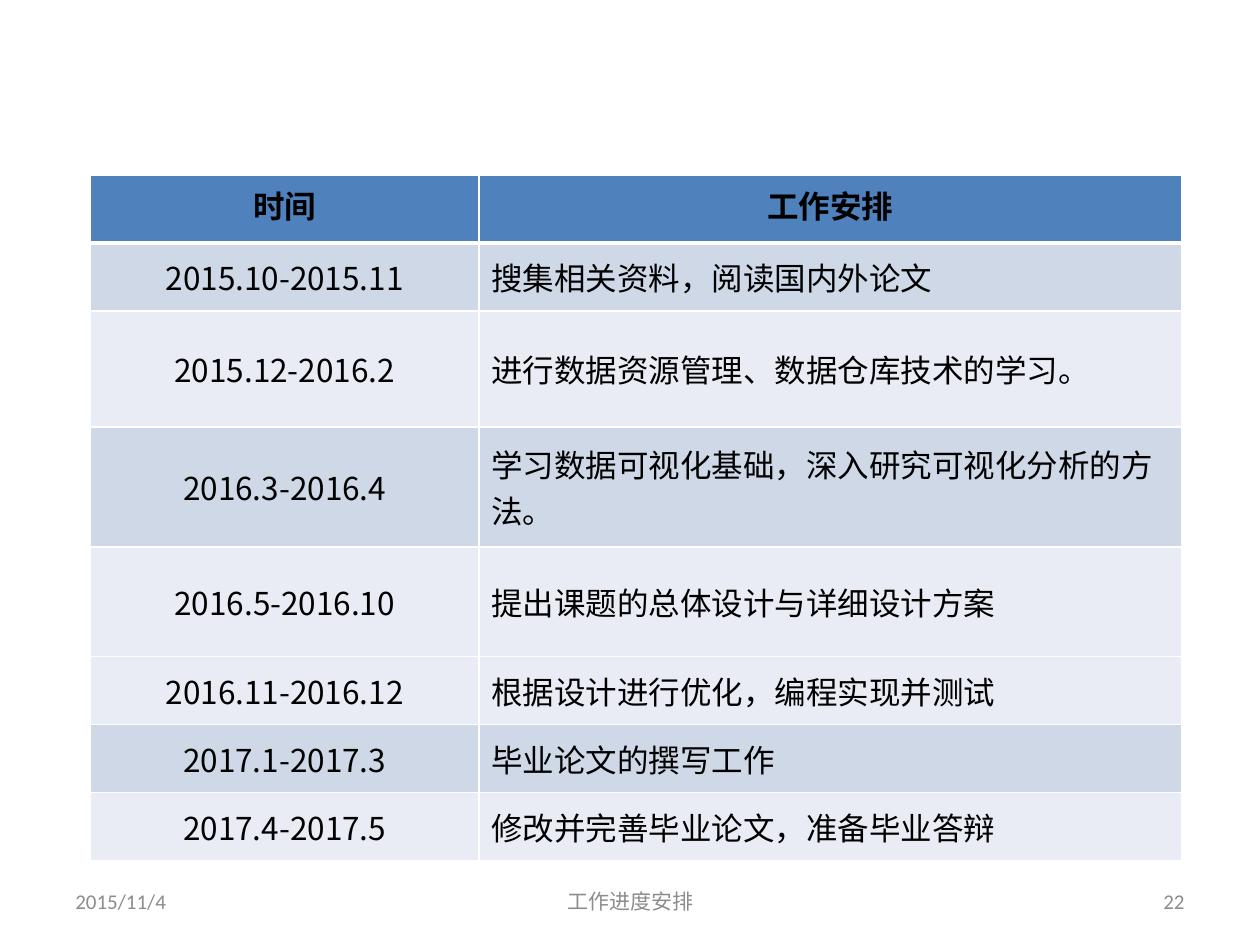
"""Build the work schedule slide with its table and footer."""
import pptx
import pptx.util
import pptx.dml.color
import pptx.enum.text
import pptx.oxml
import pptx.oxml.ns

Inches = pptx.util.Inches
Pt = pptx.util.Pt
RGBColor = pptx.dml.color.RGBColor
ALIGN = pptx.enum.text.PP_ALIGN
ANCHOR = pptx.enum.text.MSO_ANCHOR

BLACK = RGBColor(0x00, 0x00, 0x00)
WHITE = RGBColor(0xFF, 0xFF, 0xFF)
GRAY = RGBColor(0x8C, 0x8C, 0x8C)
BLUE = RGBColor(0x4F, 0x81, 0xBD)
DARK = RGBColor(0xCF, 0xD8, 0xE7)
LIGHT = RGBColor(0xE9, 0xEC, 0xF4)


def add_text(frame, text, align, font, size, color, bold=False):
    par = frame.paragraphs[0]
    par.alignment = align
    run = par.add_run()
    run.text = text
    run.font.name = font
    run.font.size = Pt(size)
    run.font.bold = bold
    run.font.color.rgb = color
    return par


def add_edge(cell, index, side, width):
    line = pptx.oxml.parse_xml(
        f'<a:{side} {pptx.oxml.ns.nsdecls("a")} w="{Pt(width)}">'
        f'<a:solidFill><a:srgbClr val="{WHITE}"/></a:solidFill></a:{side}>'
    )
    cell._tc.get_or_add_tcPr().insert(index, line)


deck = pptx.Presentation()
deck.slide_width = Inches(10)
deck.slide_height = Inches(7.5)
slide = deck.slides.add_slide(deck.slide_layouts[6])

rows = [
    ("时间", "工作安排", 0.54, BLUE),
    ("2015.10-2015.11", "搜集相关资料，阅读国内外论文", 0.54, DARK),
    ("2015.12-2016.2", "进行数据资源管理、数据仓库技术的学习。", 0.92, LIGHT),
    ("2016.3-2016.4", "学习数据可视化基础，深入研究可视化分析的方法。", 0.95, DARK),
    ("2016.5-2016.10", "提出课题的总体设计与详细设计方案", 0.87, LIGHT),
    ("2016.11-2016.12", "根据设计进行优化，编程实现并测试", 0.54, LIGHT),
    ("2017.1-2017.3", "毕业论文的撰写工作", 0.54, DARK),
    ("2017.4-2017.5", "修改并完善毕业论文，准备毕业答辩", 0.54, LIGHT),
]
table = slide.shapes.add_table(
    len(rows), 2, Inches(0.72), Inches(1.39), Inches(8.66), Inches(5.44)
).table
table.columns[0].width = Inches(3.08)
table.columns[1].width = Inches(5.58)

for r, (time, task, height, fill) in enumerate(rows):
    table.rows[r].height = Inches(height)
    head = r == 0
    for c, text in enumerate((time, task)):
        cell = table.cell(r, c)
        cell.fill.solid()
        cell.fill.fore_color.rgb = fill
        cell.vertical_anchor = ANCHOR.TOP if head else ANCHOR.MIDDLE
        align = ALIGN.CENTER if head or c == 0 else ALIGN.LEFT
        font = "Calibri" if head else ("Noto Sans CJK JP", "Arial")[c]
        par = add_text(cell.text_frame, text, align, font, 18, BLACK, head)
        if not head:
            par.space_before = Pt(3.6)
        edges = {"lnL": 1, "lnR": 1, "lnT": 3 if r == 1 else 1, "lnB": 3 if head else 1}
        for i, (side, width) in enumerate(edges.items()):
            add_edge(cell, i, side, width)

notes = [
    ("2015/11/4", 0.5, 2.33, ALIGN.LEFT),
    ("工作进度安排", 3.42, 3.17, ALIGN.CENTER),
    ("22", 7.17, 2.33, ALIGN.RIGHT),
]
for text, left, width, align in notes:
    box = slide.shapes.add_textbox(Inches(left), Inches(6.95), Inches(width), Inches(0.4))
    frame = box.text_frame
    frame.word_wrap = True
    frame.vertical_anchor = ANCHOR.MIDDLE
    add_text(frame, text, align, "Calibri", 12, GRAY)

deck.save("out.pptx")
